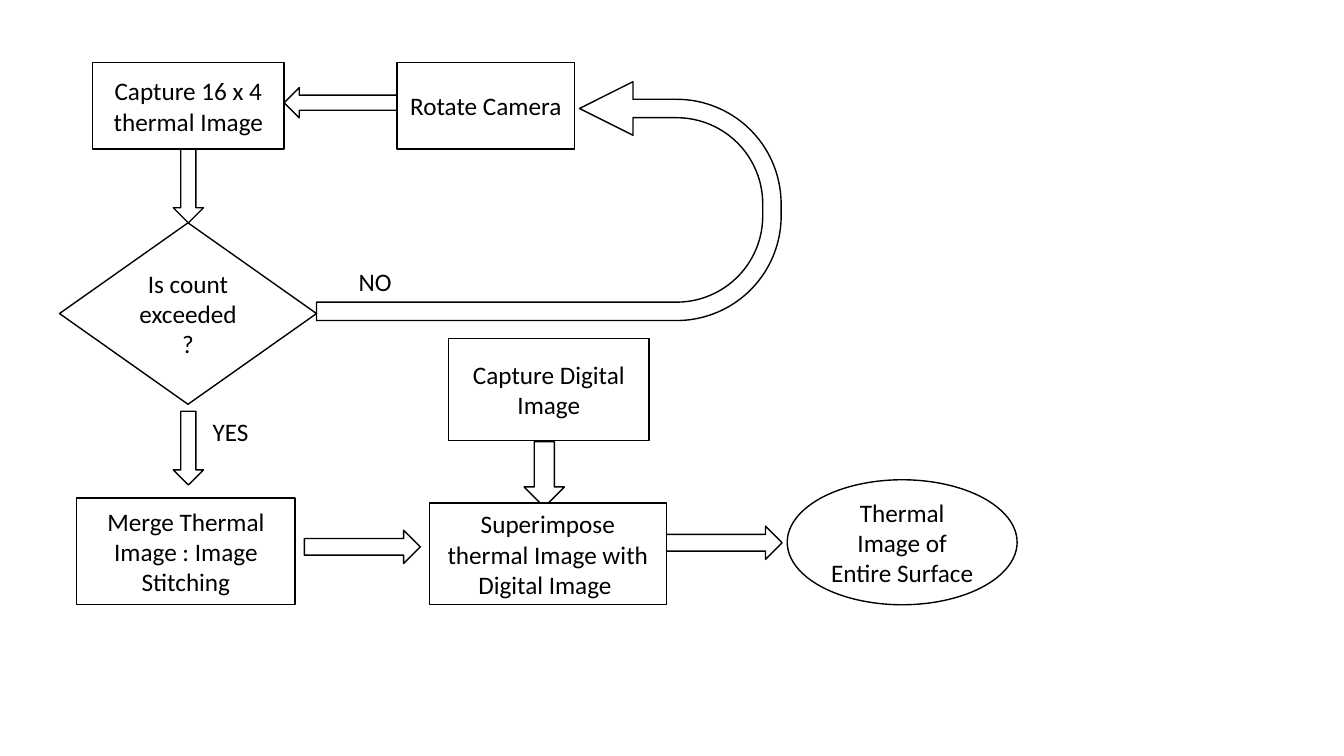
from typing import NamedTuple

from pptx import Presentation
from pptx.dml.color import RGBColor
from pptx.enum.shapes import MSO_SHAPE as Preset
from pptx.enum.text import MSO_ANCHOR as Anchor, MSO_AUTO_SIZE as AutoSize, PP_ALIGN as Align
from pptx.shapes.autoshape import Shape
from pptx.slide import Slide
from pptx.text.text import TextFrame
from pptx.util import Pt

FONT, FONT_SIZE = "Calibri", 18
INK, PAPER = "000000", "FFFFFF"


class Area(NamedTuple):
    left: float
    top: float
    width: float
    height: float


class Node(NamedTuple):
    preset: Preset
    area: Area
    text: str = ""


class Label(NamedTuple):
    text: str
    left: float
    top: float


def color(hex_code: str) -> RGBColor:
    return RGBColor.from_string(hex_code)


def write(frame: TextFrame, text: str, align: Align) -> None:
    para = frame.paragraphs[0]
    para.alignment = align
    run = para.add_run()
    run.text = text
    run.font.name = FONT
    run.font.size = Pt(FONT_SIZE)
    run.font.color.rgb = color(INK)


def draw_node(page: Slide, node: Node) -> Shape:
    shape = page.shapes.add_shape(node.preset, *map(Pt, node.area))
    shape.shadow.inherit = False
    shape.fill.solid()
    shape.fill.fore_color.rgb = color(PAPER)
    shape.line.color.rgb = color(INK)
    shape.line.width = Pt(1)
    if node.text:
        shape.text_frame.word_wrap = True
        shape.text_frame.vertical_anchor = Anchor.MIDDLE
        write(shape.text_frame, node.text, Align.CENTER)
    return shape


def draw_loop(page: Slide, area: Area) -> None:
    loop = draw_node(page, Node(Preset.U_TURN_ARROW, area))
    for index, value in enumerate((0.077, 0.112, 0.224, 0.438, 0.434)):
        loop.adjustments[index] = value
    loop.rotation = 90
    loop.element.spPr.xfrm.set("flipH", "1")


def draw_label(page: Slide, label: Label) -> None:
    box = page.shapes.add_textbox(Pt(label.left), Pt(label.top), Pt(44.6), Pt(29))
    box.text_frame.word_wrap = True
    box.text_frame.auto_size = AutoSize.SHAPE_TO_FIT_TEXT
    write(box.text_frame, label.text, Align.LEFT)


ARROWS = (
    Node(Preset.DOWN_ARROW, Area(123.8, 106.6, 21.6, 52.6)),
    Node(Preset.DOWN_ARROW, Area(123.8, 293.8, 21.6, 52.6)),
    Node(Preset.DOWN_ARROW, Area(374.4, 315.4, 28.8, 46.8)),
    Node(Preset.RIGHT_ARROW, Area(217.4, 378.7, 82.8, 23.8)),
    Node(Preset.RIGHT_ARROW, Area(475.9, 375.8, 82.8, 23.8)),
    Node(Preset.LEFT_ARROW, Area(203, 62.6, 80.7, 21.6)),
)
STEPS = (
    Node(Preset.RECTANGLE, Area(66.2, 44.6, 136.8, 62), "Capture 16 x 4 thermal Image"),
    Node(Preset.RECTANGLE, Area(283.7, 44.6, 126.7, 62), "Rotate Camera"),
    Node(Preset.DIAMOND, Area(42.5, 159.2, 183.6, 129.6), "Is count exceeded ?"),
    Node(Preset.RECTANGLE, Area(54.7, 355.7, 156.2, 76.3), "Merge Thermal Image : Image Stitching"),
    Node(Preset.RECTANGLE, Area(320.4, 242, 143.3, 72.7), "Capture Digital Image"),
    Node(Preset.RECTANGLE, Area(306.7, 359.3, 169.2, 72.7),
         "Superimpose thermal Image with Digital Image "),
    Node(Preset.OVAL, Area(562.3, 342.7, 164.2, 89.3), "Thermal Image of Entire Surface"),
)
LABELS = (Label("YES", 144.7, 293.8), Label("NO", 249.1, 186.5))

deck = Presentation()
deck.slide_width, deck.slide_height = Pt(960), Pt(540)
page = deck.slides.add_slide(deck.slide_layouts.get_by_name("Blank"))

draw_loop(page, Area(306.7, -22.3, 170.6, 331.9))
for node in ARROWS + STEPS:
    draw_node(page, node)
for label in LABELS:
    draw_label(page, label)

deck.save("out.pptx")
